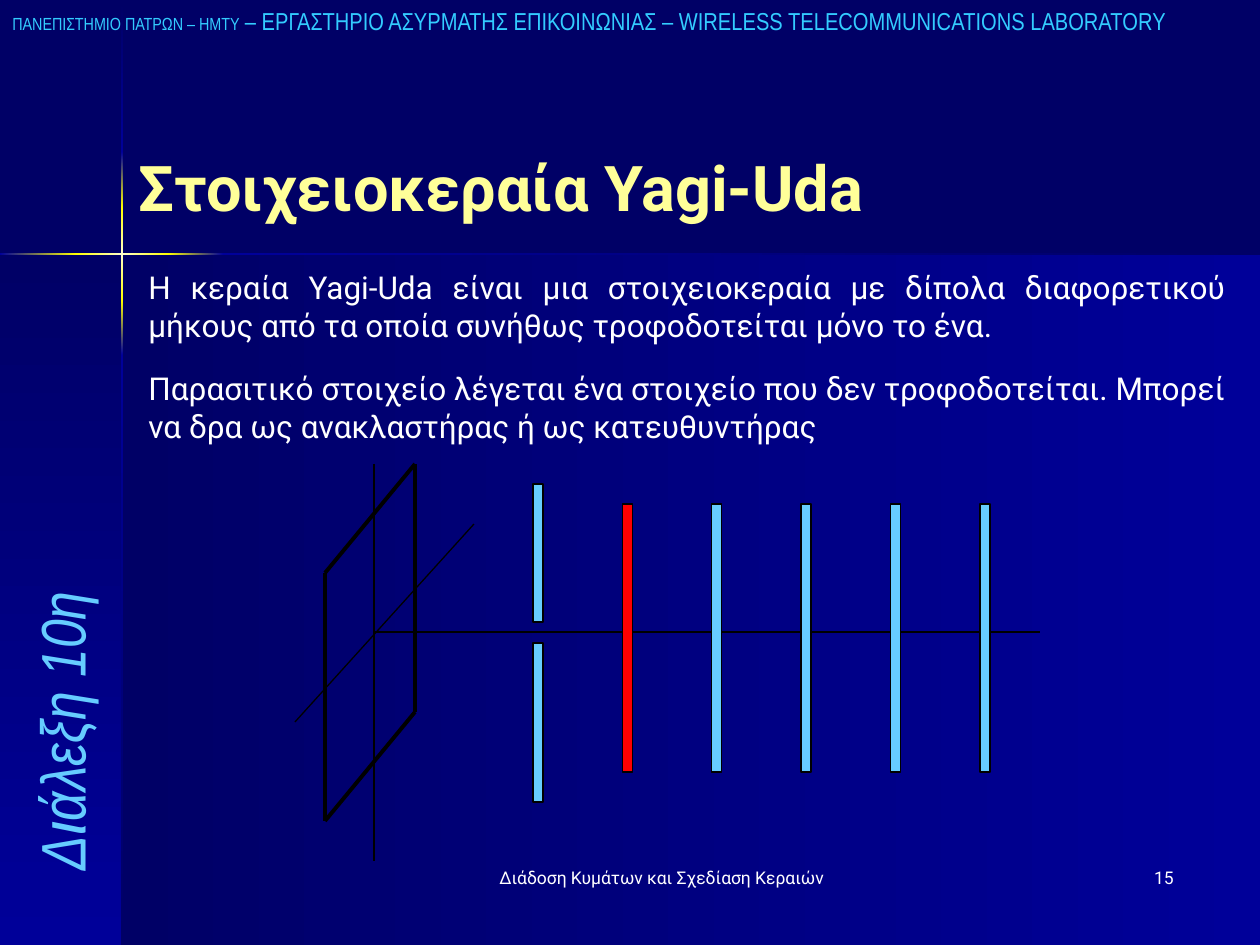
from copy import deepcopy
from itertools import pairwise

from lxml.etree import SubElement
from pptx import Presentation
from pptx.dml.color import RGBColor
from pptx.enum.shapes import MSO_CONNECTOR, MSO_SHAPE
from pptx.enum.text import MSO_ANCHOR, PP_ALIGN
from pptx.oxml.ns import qn
from pptx.util import Pt

PX = 914400 / 126
WIDTH, HEIGHT = 1260, 945

NAVY, BLUE, YELLOW, CREAM = "000066", "000099", "FFFF00", "FFFFCC"
SKY, CYAN, RED, BLACK, WHITE = "66CCFF", "33CCFF", "FF0000", "000000", "FFFFFF"
NARROW, ROBOTO = "Arial Narrow", "Roboto"

TITLE = "Στοιχειοκεραία Yagi-Uda"
HEADER = [("ΠΑΝΕΠΙΣΤΗΜΙΟ ΠΑΤΡΩΝ – ΗΜΤΥ", 10),
          (" – ΕΡΓΑΣΤΗΡΙΟ ΑΣΥΡΜΑΤΗΣ ΕΠΙΚΟΙΝΩΝΙΑΣ – WIRELESS TELECOMMUNICATIONS LABORATORY", 14)]
LECTURE = "Διάλεξη 10η"
BODY = [
    (262, "H κεραία Yagi-Uda είναι μια στοιχειοκεραία με δίπολα διαφορετικού μήκους "
          "από τα οποία συνήθως τροφοδοτείται μόνο το ένα."),
    (363, "Παρασιτικό στοιχείο λέγεται ένα στοιχείο που δεν τροφοδοτείται. Μπορεί να δρα "
          "ως ανακλαστήρας ή ως κατευθυντήρας"),
]
FOOTER, PAGE = "Διάδοση Κυμάτων και Σχεδίαση Κεραιών", "15"

# Background panels: left, top, width, height, colours, vertical gradient
PANELS = [
    (122, 255, 1138, 690, [NAVY, BLUE], False),
    (0, 255, 122, 690, [NAVY, BLUE], True),
]
# Cross rules: edges of the segments, then the colours of each segment
RULE_COLORS = [[BLUE, YELLOW], [YELLOW, CREAM, YELLOW], [YELLOW, BLUE], [BLUE, NAVY]]
COLUMN_EDGES = [1, 152, 208, 300, 355, 945]
ROW_EDGES = [0, 76, 168, 223, 1260]
COLUMN_LEFT, ROW_TOP, RULE = 121, 253, 2

REFLECTOR = [(415, 464), (325, 573), (325, 821), (415, 712)]
AXES = [((374, 464), (374, 861)), ((295, 722), (474, 524)), ((374, 632), (1040, 632))]
ELEMENT_LEFT, ELEMENT_STEP, ELEMENT_WIDTH = 533, 89.4, 10
DRIVEN_HALVES = [(484, 138), (643, 159)]
ELEMENT_TOP, ELEMENT_HEIGHT = 504, 268
ELEMENT_COLORS = [RED, SKY, SKY, SKY, SKY]


def emu(*lengths):
    return [round(length * PX) for length in lengths]


def rgb(color):
    return RGBColor.from_string(color)


def add_rectangle(slide, left, top, width, height):
    shape = slide.shapes.add_shape(MSO_SHAPE.RECTANGLE, *emu(left, top, width, height))
    shape.shadow.inherit = False
    return shape


def add_gradient(slide, left, top, width, height, colors, vertical):
    """Add a borderless rectangle shaded left to right or top to bottom."""
    shape = add_rectangle(slide, left, top, width, height)
    shape.line.fill.background()
    shape.fill.gradient()
    shape.fill.gradient_angle = 270 if vertical else 0
    stop_list = shape._element.spPr.find(qn("a:gradFill")).find(qn("a:gsLst"))
    while len(stop_list) < len(colors):
        stop_list.append(deepcopy(stop_list[0]))
    for index, (stop, color) in enumerate(zip(shape.fill.gradient_stops, colors)):
        stop.position = index / (len(colors) - 1)
        stop.color.rgb = rgb(color)


def add_element(slide, left, top, height, color):
    shape = add_rectangle(slide, left, top, ELEMENT_WIDTH, height)
    shape.fill.solid()
    shape.fill.fore_color.rgb = rgb(color)
    shape.line.color.rgb = rgb(BLACK)
    shape.line.width = Pt(0.75)


def add_line(slide, start, end, width):
    line = slide.shapes.add_connector(MSO_CONNECTOR.STRAIGHT, *emu(*start, *end))
    line.line.color.rgb = rgb(BLACK)
    line.line.width = Pt(width)
    SubElement(line._element.spPr, qn("a:effectLst"))


def write(shape, text, size=10, font=ROBOTO, color=WHITE, bold=False, italic=False,
          align=PP_ALIGN.LEFT, anchor=MSO_ANCHOR.TOP):
    """Fill a shape with a string, or with a list of (string, size) runs."""
    frame = shape.text_frame
    frame.word_wrap = True
    frame.vertical_anchor = anchor
    paragraph = frame.paragraphs[0]
    paragraph.alignment = align
    for words, points in [(text, size)] if isinstance(text, str) else text:
        run = paragraph.add_run()
        run.text = words
        run.font.size = Pt(points)
        run.font.name = font
        run.font.bold = bold
        run.font.italic = italic
        run.font.color.rgb = rgb(color)


def add_text(slide, box, text, **style):
    shape = slide.shapes.add_textbox(*emu(*box))
    write(shape, text, **style)
    return shape


def draw_background(slide):
    slide.background.fill.solid()
    slide.background.fill.fore_color.rgb = rgb(NAVY)
    for panel in PANELS:
        add_gradient(slide, *panel)
    for (start, end), colors in zip(pairwise(COLUMN_EDGES), [[NAVY, BLUE], *RULE_COLORS]):
        add_gradient(slide, COLUMN_LEFT, start, RULE, end - start, colors, True)
    for (start, end), colors in zip(pairwise(ROW_EDGES), RULE_COLORS):
        add_gradient(slide, start, ROW_TOP, end - start, RULE, colors, False)


def draw_antenna(slide):
    for top, height in DRIVEN_HALVES:
        add_element(slide, ELEMENT_LEFT, top, height, SKY)
    for start, end in pairwise([*REFLECTOR, REFLECTOR[0]]):
        add_line(slide, start, end, 2.25)
    for start, end in AXES:
        add_line(slide, start, end, 0.75)
    for index, color in enumerate(ELEMENT_COLORS, start=1):
        left = ELEMENT_LEFT + index * ELEMENT_STEP
        add_element(slide, left, ELEMENT_TOP, ELEMENT_HEIGHT, color)


def main():
    presentation = Presentation()
    presentation.slide_width, presentation.slide_height = emu(WIDTH, HEIGHT)
    slide = presentation.slides.add_slide(presentation.slide_layouts[5])
    draw_background(slide)

    lecture = add_text(slide, (-179, 599, 483, 84), LECTURE, size=36, font=NARROW,
                       color=SKY, italic=True, anchor=MSO_ANCHOR.BOTTOM)
    lecture.rotation = 270

    title = slide.shapes.title
    title.left, title.top, title.width, title.height = emu(126, 117, 976, 113)
    write(title, TITLE, size=36, color="FFFF99", bold=True, anchor=MSO_ANCHOR.BOTTOM)

    draw_antenna(slide)
    for top, text in BODY:
        add_text(slide, (136, top, 1102, 88), text, size=18, align=PP_ALIGN.JUSTIFY)
    add_text(slide, (0, 0, 1407, 42), HEADER, font=NARROW, color=CYAN)
    add_text(slide, (462, 861, 399, 63), FOOTER, align=PP_ALIGN.CENTER)
    add_text(slide, (924, 861, 262, 63), PAGE, align=PP_ALIGN.RIGHT)
    presentation.save("out.pptx")


if __name__ == "__main__":
    main()
